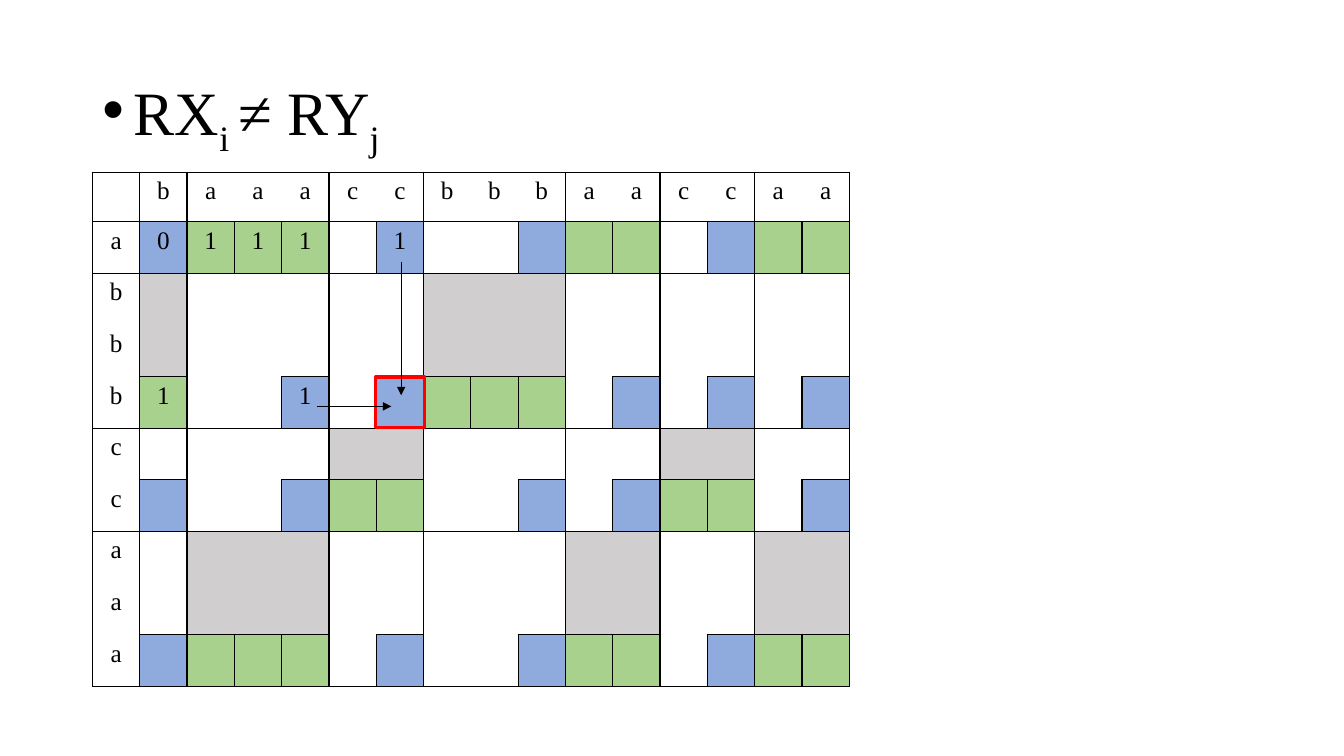
"""Build a slide that shows a run-length grid with boxed cells and two arrows."""
import dataclasses
import typing

import lxml.etree
import pptx
import pptx.dml.color
import pptx.enum.shapes
import pptx.enum.text
import pptx.oxml.ns
import pptx.util

Cm = pptx.util.Cm
Pt = pptx.util.Pt
qn = pptx.oxml.ns.qn
Node = lxml.etree.SubElement


@dataclasses.dataclass(frozen=True)
class Theme:
    font: str = "Times New Roman"
    black: str = "000000"
    red: str = "FF0000"
    blue: str = "8FAADC"
    green: str = "A9D18E"
    grey: str = "D0CECE"
    title: float = 44
    body: float = 18
    rule: float = 1
    thin: float = 0.5
    thick: float = 2.25


class Part(typing.NamedTuple):
    text: str
    sub: bool = False


class Arrow(typing.NamedTuple):
    x1: float
    y1: float
    x2: float
    y2: float


THEME = Theme()
TITLE = [Part("RX"), Part("i ", True), Part("≠ RY"), Part("j", True)]
COLS = " baaaccbbbaaccaa"
ROWS = " abbbccaaa"
MARKS = {(1, 1): "0", (1, 2): "1", (1, 3): "1", (1, 4): "1",
         (1, 6): "1", (4, 1): "1", (4, 4): "1"}
ARROWS = [Arrow(10.11, 6.6, 10.11, 9.96), Arrow(8, 10.24, 9.86, 10.24)]


def shade(name: str) -> pptx.dml.color.RGBColor:
    return pptx.dml.color.RGBColor.from_string(name)


def write(para: typing.Any, part: Part, size: float) -> None:
    run = para.add_run()
    run.text = part.text
    run.font.name = THEME.font
    run.font.size = Pt(size)
    run.font.color.rgb = shade(THEME.black)
    if part.sub:
        run._r.get_or_add_rPr().set("baseline", "-25000")


def draw_title(slide: typing.Any) -> None:
    box = slide.shapes.add_textbox(Cm(2.33), Cm(1.01), Cm(29.21), Cm(3.68))
    frame = box.text_frame
    frame.word_wrap = True
    frame.vertical_anchor = pptx.enum.text.MSO_ANCHOR.MIDDLE
    para = frame.paragraphs[0]
    para.line_spacing = 0.9
    props = para._p.get_or_add_pPr()
    props.set("marL", str(Cm(0.79)))
    props.set("indent", str(-Cm(0.79)))
    Node(props, qn("a:buFont"), typeface="Arial")
    Node(props, qn("a:buChar"), char="•")
    for part in TITLE:
        write(para, part, THEME.title)


def ends(text: str, at: int) -> bool:
    return at + 1 == len(text) or text[at] != text[at + 1]


def tint(row: int, col: int) -> str | None:
    if not row or not col:
        return None
    last = ends(ROWS, row)
    if ROWS[row] == COLS[col]:
        return THEME.green if last else THEME.grey
    return THEME.blue if last and ends(COLS, col) else None


def boxed(row: int, col: int) -> bool:
    inside = 0 <= row < len(ROWS) and 0 <= col < len(COLS)
    return inside and tint(row, col) in (THEME.green, THEME.blue)


def edges(row: int, col: int) -> dict[str, bool]:
    full = boxed(row, col)
    return {
        "a:lnL": full or boxed(row, col - 1) or col == 0 or ends(COLS, col - 1),
        "a:lnR": full or boxed(row, col + 1) or ends(COLS, col),
        "a:lnT": full or boxed(row - 1, col) or row == 0 or ends(ROWS, row - 1),
        "a:lnB": full or boxed(row + 1, col) or ends(ROWS, row),
    }


def label(row: int, col: int) -> str:
    if row and col:
        return MARKS.get((row, col), "")
    return (COLS[col] if row == 0 else ROWS[row]).strip()


def draw_cell(cell: typing.Any, row: int, col: int) -> None:
    props = cell._tc.get_or_add_tcPr()
    for tag, shown in edges(row, col).items():
        line = Node(props, qn(tag), w=str(Pt(THEME.rule)))
        if shown:
            fill = Node(line, qn("a:solidFill"))
            Node(fill, qn("a:srgbClr"), val=THEME.black)
        else:
            Node(line, qn("a:noFill"))
    hue = tint(row, col)
    if hue:
        cell.fill.solid()
        cell.fill.fore_color.rgb = shade(hue)
    else:
        cell.fill.background()
    para = cell.text_frame.paragraphs[0]
    para.alignment = pptx.enum.text.PP_ALIGN.CENTER
    text = label(row, col)
    if text:
        write(para, Part(text), THEME.body)


def draw_grid(slide: typing.Any) -> None:
    table = slide.shapes.add_table(
        len(ROWS), len(COLS), Cm(2.33), Cm(4.34), Cm(19.08), Cm(12.95)).table
    table.first_row = False
    table.horz_banding = False
    for row in range(len(ROWS)):
        table.rows[row].height = Cm(1.3 if row else 1.25)
        for col in range(len(COLS)):
            draw_cell(table.cell(row, col), row, col)


def draw_frame(slide: typing.Any) -> None:
    kind = pptx.enum.shapes.MSO_SHAPE.RECTANGLE
    frame = slide.shapes.add_shape(kind, Cm(9.47), Cm(9.5), Cm(1.23), Cm(1.27))
    frame.shadow.inherit = False
    frame.fill.background()
    frame.line.color.rgb = shade(THEME.red)
    frame.line.width = Pt(THEME.thick)


def draw_arrow(slide: typing.Any, arrow: Arrow) -> None:
    kind = pptx.enum.shapes.MSO_CONNECTOR.STRAIGHT
    link = slide.shapes.add_connector(kind, *(Cm(n) for n in arrow))
    link.line.color.rgb = shade(THEME.black)
    link.line.width = Pt(THEME.thin)
    Node(link.line._get_or_add_ln(), qn("a:tailEnd"), type="triangle")
    Node(link._element.spPr, qn("a:effectLst"))


def main() -> None:
    deck = pptx.Presentation()
    deck.slide_width = Cm(33.87)
    deck.slide_height = Cm(19.05)
    slide = deck.slides.add_slide(deck.slide_layouts[6])
    draw_title(slide)
    draw_grid(slide)
    draw_frame(slide)
    for arrow in ARROWS:
        draw_arrow(slide, arrow)
    deck.save("out.pptx")


if __name__ == "__main__":
    main()
